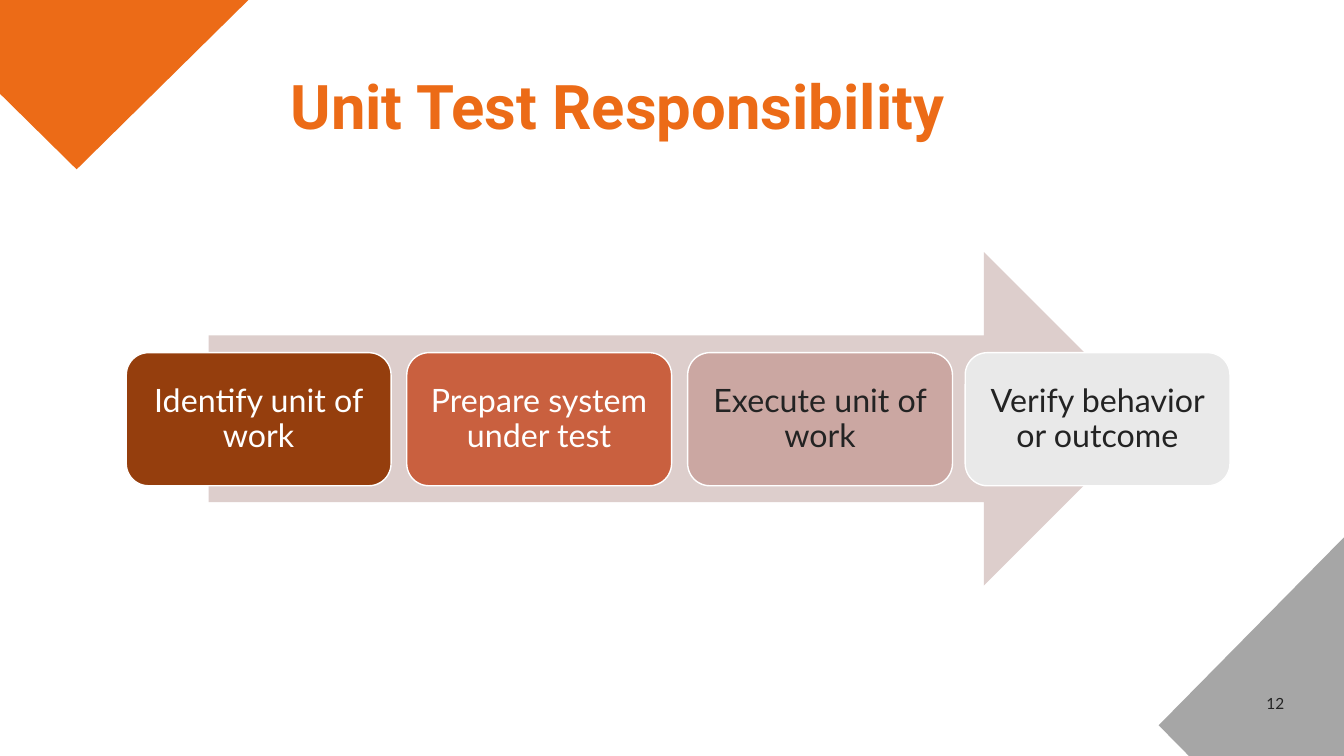
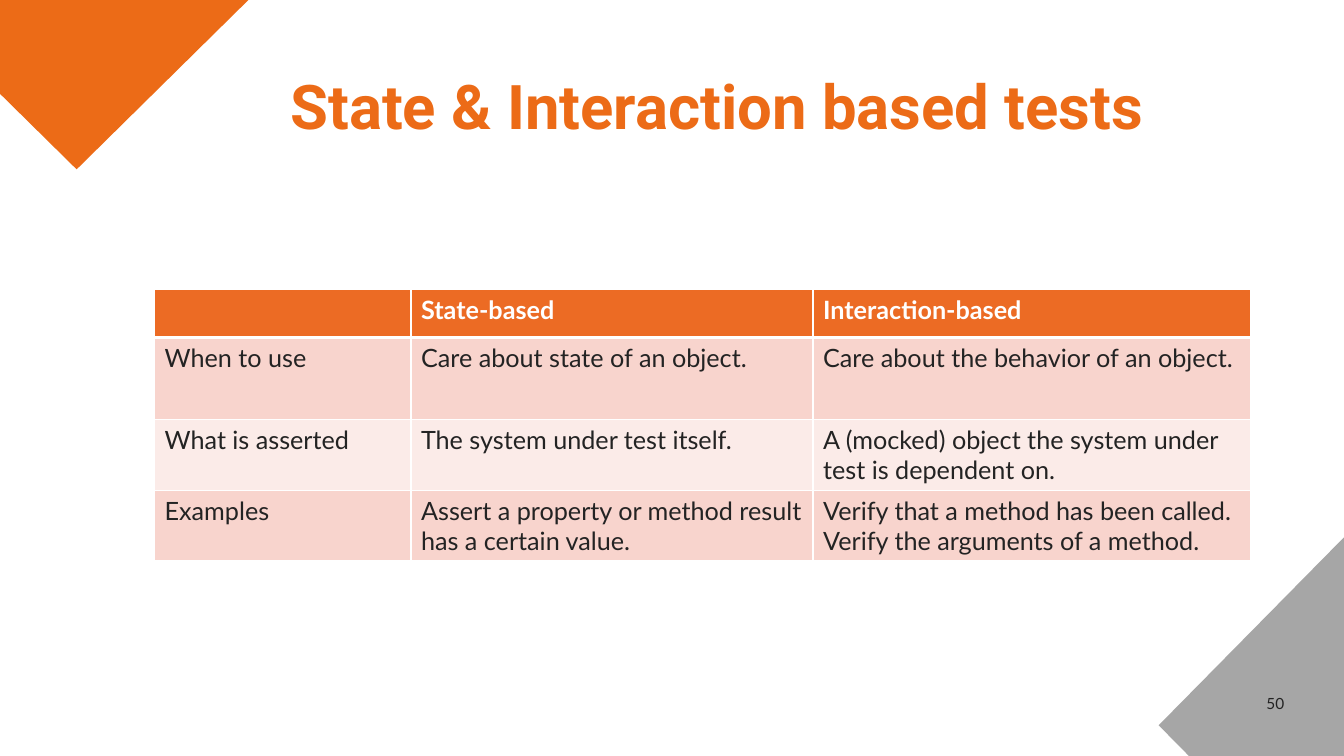
import dataclasses

import pptx
import pptx.dml.color
import pptx.enum.shapes
import pptx.enum.text
import pptx.oxml
import pptx.oxml.ns
import pptx.util

SHAPE = pptx.enum.shapes.MSO_SHAPE
ALIGN = pptx.enum.text.PP_ALIGN
ANCHOR = pptx.enum.text.MSO_ANCHOR


@dataclasses.dataclass(frozen=True)
class Theme:
    # Colours
    accent: str = "EC6B17"
    corner: str = "A6A6A6"
    ink: str = "232323"
    white: str = "FFFFFF"
    arrow: str = "DDCECC"
    header: str = "EC6B24"
    bands: tuple = ("F8D4CD", "FBEBE8")
    # Fonts and type sizes in points
    title_font: str = "Roboto"
    body_font: str = "Lato"
    title_size: int = 44
    card_size: int = 23
    table_size: int = 18
    number_size: int = 11


def rgb(code):
    return pptx.dml.color.RGBColor.from_string(code)


class Builder:
    """Holds the style and the current slide; lengths are percent of the slide."""

    def __init__(self, theme):
        self.theme = theme
        self.deck = pptx.Presentation()
        self.deck.slide_width = pptx.util.Inches(13.333)
        self.deck.slide_height = pptx.util.Inches(7.5)
        self.page = None

    def x(self, share):
        return round(self.deck.slide_width * share / 100)

    def y(self, share):
        return round(self.deck.slide_height * share / 100)

    def place(self, left, top, width, height):
        return self.x(left), self.y(top), self.x(width), self.y(height)

    def start_page(self, title, number):
        self.page = self.deck.slides.add_slide(self.deck.slide_layouts[6])
        # Corner triangles
        self.corner(78.15, 82, 270, self.theme.corner)
        self.corner(-10.2, -5.47, 180, self.theme.accent)
        # Title and page number
        box = self.text_box(21.62, 10.9, 74.6, 6.5)
        self.set_insets(box.text_frame, 0)
        para = box.text_frame.paragraphs[0]
        para.line_spacing = 0.8
        self.add_span(para, title, self.theme.title_size, self.theme.accent,
                      font=self.theme.title_font, bold=True)
        para = self.text_box(93.1, 91.2, 3.2, 3.2).text_frame.paragraphs[0]
        para.alignment = ALIGN.RIGHT
        self.add_span(para, number, self.theme.number_size, self.theme.ink)

    def text_box(self, *area):
        box = self.page.shapes.add_textbox(*self.place(*area))
        box.text_frame.word_wrap = True
        return box

    def set_insets(self, frame, inches):
        for side in ("left", "top", "right", "bottom"):
            setattr(frame, f"margin_{side}", pptx.util.Inches(inches))

    def add_span(self, para, text, size, color, font=None, bold=False):
        span = para.add_run()
        span.text = text
        span.font.name = font or self.theme.body_font
        span.font.size = pptx.util.Pt(size)
        span.font.bold = bold
        span.font.color.rgb = rgb(color)

    def add_shape(self, kind, area, fill, line=None):
        shape = self.page.shapes.add_shape(kind, *self.place(*area))
        shape.shadow.inherit = False
        shape.fill.solid()
        shape.fill.fore_color.rgb = rgb(fill)
        if line:
            shape.line.color.rgb = rgb(line)
            shape.line.width = pptx.util.Pt(1)
        else:
            shape.line.fill.background()
        return shape

    def corner(self, left, top, rotation, fill):
        area = (left, top, 31.8, 27.87)
        self.add_shape(SHAPE.ISOSCELES_TRIANGLE, area, fill).rotation = rotation

    def arrow(self, *area):
        self.add_shape(SHAPE.RIGHT_ARROW, area, self.theme.arrow)

    def card(self, text, fill, color, *area):
        card = self.add_shape(SHAPE.ROUNDED_RECTANGLE, area, fill, self.theme.white)
        frame = card.text_frame
        frame.word_wrap = True
        frame.vertical_anchor = ANCHOR.MIDDLE
        self.set_insets(frame, 0.1)
        para = frame.paragraphs[0]
        para.alignment = ALIGN.CENTER
        para.line_spacing = 0.9
        self.add_span(para, text, self.theme.card_size, color)

    def cell_borders(self, cell, **widths):
        properties = cell._tc.get_or_add_tcPr()
        for side in "LRTB":
            width = pptx.util.Pt(widths.get(side, 1))
            properties.append(pptx.oxml.parse_xml(
                f'<a:ln{side} {pptx.oxml.ns.nsdecls("a")} w="{width}"><a:solidFill>'
                f'<a:srgbClr val="{self.theme.white}"/></a:solidFill></a:ln{side}>'))

    def table(self, left, top, widths, heights, rows):
        area = self.place(left, top, sum(widths), sum(heights))
        table = self.page.shapes.add_table(len(rows), len(widths), *area).table
        for column, width in zip(table.columns, widths):
            column.width = self.x(width)
        for index, (row, height, texts) in enumerate(zip(table.rows, heights, rows)):
            row.height = self.y(height)
            is_header = index == 0
            fill = self.theme.header if is_header else self.theme.bands[(index - 1) % 2]
            color = self.theme.white if is_header else self.theme.ink
            # A thick rule parts the header from the body
            rule = {0: {"B": 3}, 1: {"T": 3}}.get(index, {})
            for cell, text in zip(row.cells, texts):
                self.cell_borders(cell, **rule)
                cell.fill.solid()
                cell.fill.fore_color.rgb = rgb(fill)
                if text:
                    self.add_span(cell.text_frame.paragraphs[0], text,
                                  self.theme.table_size, color, bold=is_header)


def main():
    theme = Theme()
    builder = Builder(theme)

    # Process: four steps along an arrow
    builder.start_page("Unit Test Responsibility", "12")
    builder.arrow(15.52, 33.35, 70.1, 44.1)
    steps = [
        (9.4, "Identify unit of work", "953E0D", theme.white),
        (30.27, "Prepare system under test", "C9603F", theme.white),
        (51.17, "Execute unit of work", "CBA7A2", theme.ink),
        (71.82, "Verify behavior or outcome", "E9E9E9", theme.ink),
    ]
    for left, text, fill, color in steps:
        builder.card(text, fill, color, left, 46.65, 19.7, 17.6)

    # Comparison table
    builder.start_page("State & Interaction based tests", "50")
    builder.table(11.5, 38.3, [19.08, 29.92, 32.55], [6.35, 10.88, 9.3, 9.3], [
        ("", "State-based", "Interaction-based"),
        ("When to use", "Care about state of an object.",
         "Care about the behavior of an object."),
        ("What is asserted", "The system under test itself.",
         "A (mocked) object the system under test is dependent on."),
        ("Examples", "Assert a property or method result has a certain value.",
         "Verify that a method has been called. Verify the arguments of a method."),
    ])

    builder.deck.save("out.pptx")


if __name__ == "__main__":
    main()
